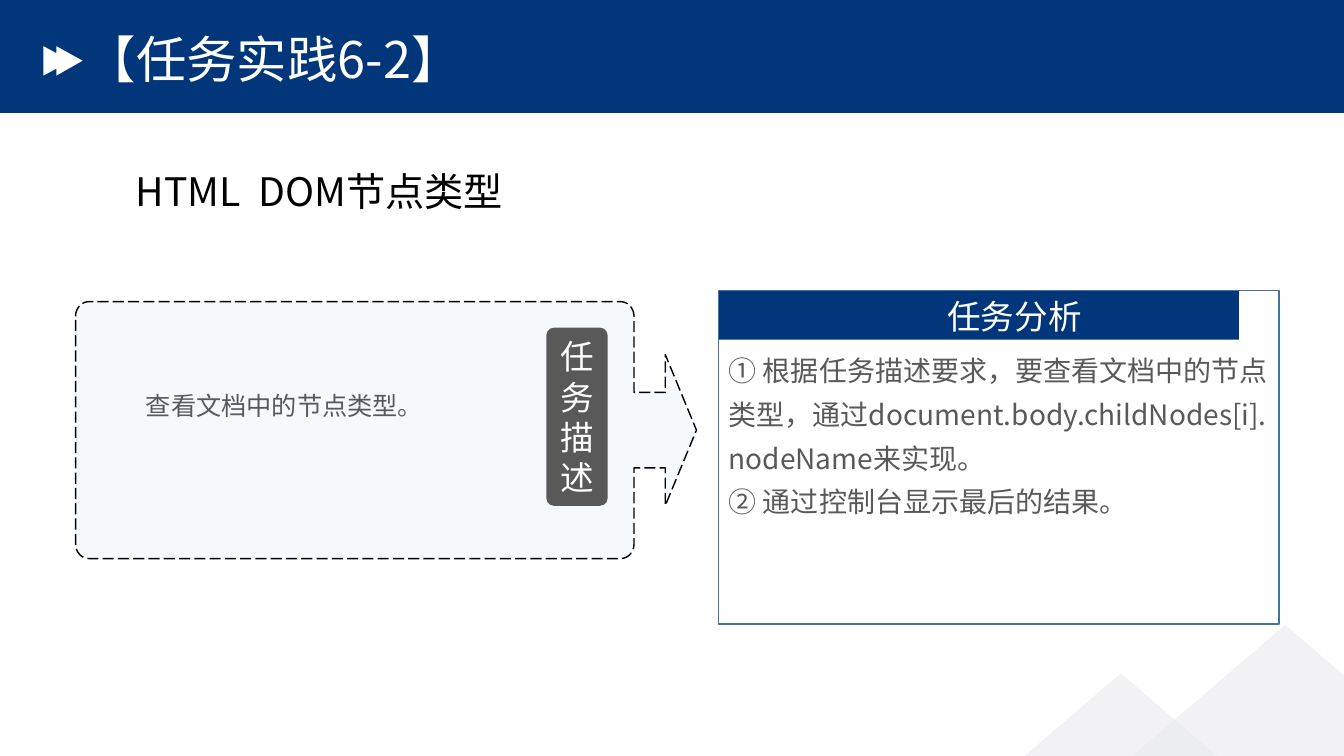
from dataclasses import dataclass
from math import cos, radians, sin

from lxml import etree
from pptx import Presentation
from pptx import util as u
from pptx.dml.color import RGBColor
from pptx.enum import dml, shapes, text
from pptx.oxml.ns import qn


@dataclass(frozen=True)
class Theme:
    navy: str = "01367A"
    white: str = "FFFFFF"
    black: str = "000000"
    gray: str = "595959"
    frame: str = "43739E"
    sky: str = "BDD7EE"
    mist: str = "E9EAEF"
    font: str = "Noto Sans CJK SC"
    label_font: str = "Calibri"
    title: int = 36
    subtitle: int = 28
    heading: int = 24
    analysis: int = 20
    body: int = 18


THEME = Theme()


def write(frame, paragraphs, size, color, font=THEME.font, align=text.PP_ALIGN.LEFT,
          anchor=text.MSO_ANCHOR.TOP, spacing=1.0, before=0):
    frame.word_wrap = True
    frame.auto_size = text.MSO_AUTO_SIZE.NONE
    frame.vertical_anchor = anchor
    for index, words in enumerate(paragraphs):
        para = frame.add_paragraph() if index else frame.paragraphs[0]
        para.alignment = align
        para.line_spacing = spacing
        para.space_before = u.Pt(before)
        span = para.add_run()
        span.text = words
        span.font.size = u.Pt(size)
        span.font.name = font
        span.font.color.rgb = RGBColor.from_string(color)
        latin = span.font._element.find(qn("a:latin"))
        east = etree.Element(qn("a:ea"), typeface=font)
        latin.addnext(east)


class SlideBuilder:
    def __init__(self, page, theme):
        self.page = page
        self.theme = theme

    def style(self, item, fill=None, opacity=100, line=None, dash=None):
        item.shadow.inherit = False
        if fill:
            item.fill.solid()
            item.fill.fore_color.rgb = RGBColor.from_string(fill)
            if opacity < 100:
                color = item.fill._xPr.find(qn("a:solidFill"))[0]
                etree.SubElement(color, qn("a:alpha"), val=str(opacity * 1000))
        else:
            item.fill.background()
        if line:
            item.line.color.rgb = RGBColor.from_string(line)
            item.line.width = u.Pt(1)
            item.line.dash_style = dash
        else:
            item.line.fill.background()
        return item

    def shape(self, kind, left, top, width, height, **look):
        item = self.page.shapes.add_shape(
            kind, u.Pt(left), u.Pt(top), u.Pt(width), u.Pt(height))
        return self.style(item, **look)

    def outline(self, points, **look):
        corners = [(u.Pt(x), u.Pt(y)) for x, y in points]
        builder = self.page.shapes.build_freeform(*corners[0])
        builder.add_line_segments(corners[1:], close=True)
        return self.style(builder.convert_to_shape(), **look)

    def textbox(self, paragraphs, left, top, width, height, **format):
        box = self.page.shapes.add_textbox(
            u.Pt(left), u.Pt(top), u.Pt(width), u.Pt(height))
        write(box.text_frame, paragraphs, **format)

    def title(self, words, left, top, width, height):
        box = self.page.shapes.title
        box.left, box.top = u.Pt(left), u.Pt(top)
        box.width, box.height = u.Pt(width), u.Pt(height)
        write(box.text_frame, [words], self.theme.title, self.theme.white,
              anchor=text.MSO_ANCHOR.MIDDLE, spacing=0.9)
        box._element.getparent().append(box._element)


def arc(x, y, start, radius_x=9.5, radius_y=10.5):
    angles = [radians(start + step) for step in range(0, 91, 10)]
    return [(x + radius_x * cos(a), y + radius_y * sin(a)) for a in angles]


def callout_points(left=54, right=452.9, tip=497.5, middle=307.25, half=91.75):
    inner_left, inner_right = left + 9.5, right - 9.5
    upper, lower = middle - half + 10.5, middle + half - 10.5
    neck = 475.2
    arrow = [(right, middle - 27), (neck, middle - 27), (neck, middle - 54),
             (tip, middle), (neck, middle + 54), (neck, middle + 27),
             (right, middle + 27)]
    return (arc(inner_left, upper, 180) + arc(inner_right, upper, 270) + arrow
            + arc(inner_right, lower, 0) + arc(inner_left, lower, 90))


def main():
    deck = Presentation()
    deck.slide_width, deck.slide_height = u.Pt(960), u.Pt(540)
    page = deck.slides.add_slide(deck.slide_layouts[5])
    slide = SlideBuilder(page, THEME)
    kind = shapes.MSO_SHAPE
    center = text.PP_ALIGN.CENTER

    slide.shape(kind.RECTANGLE, 0, 0, 960, 80.6, fill=THEME.navy)
    slide.outline([(31, 33), (40.3, 38), (40.3, 33), (59, 43.4),
                   (40.3, 54), (40.3, 49), (31, 54)], fill=THEME.white)
    for left, top in [(642.2, 481), (759.6, 446.4)]:
        slide.shape(kind.ISOSCELES_TRIANGLE, left, top, 316.8, 136,
                    fill=THEME.mist, opacity=59)
    slide.title("【任务实践6-2】", 54, 24.5, 473.8, 40.3)
    slide.textbox(["HTML  DOM节点类型"], 90, 105.8, 532.8, 50.4,
                  size=THEME.subtitle, color=THEME.black, spacing=1.3, before=10)

    slide.outline(callout_points(), fill=THEME.sky, opacity=15,
                  line=THEME.black, dash=dml.MSO_LINE.LONG_DASH)
    slide.textbox(["查看文档中的节点类型。"], 97.2, 268.6, 316.8, 33.1,
                  size=THEME.body, color=THEME.gray, spacing=1.3)
    label = slide.shape(kind.ROUNDED_RECTANGLE, 390.2, 234, 43.9, 127.4,
                        fill=THEME.gray)
    label.adjustments[0] = 0.13
    write(label.text_frame, ["任务描述"], THEME.heading, THEME.white,
          font=THEME.label_font, align=center, anchor=text.MSO_ANCHOR.MIDDLE)

    panel_left, panel_top, panel_width = 513.4, 207.4, 400.3
    slide.shape(kind.RECTANGLE, panel_left, panel_top, 371.5, 35.3, fill=THEME.navy)
    slide.textbox(["任务分析"], panel_left, 208, 422.6, 36,
                  size=THEME.heading, color=THEME.white, align=center)
    slide.textbox(
        ["① 根据任务描述要求，要查看文档中的节点类型，通过"
         "document.body.childNodes[i]. nodeName来实现。",
         "② 通过控制台显示最后的结果。"],
        panel_left, 242, panel_width, 162,
        size=THEME.analysis, color=THEME.gray, spacing=1.3)
    slide.shape(kind.RECTANGLE, panel_left, panel_top, panel_width, 238.3,
                line=THEME.frame)

    deck.save("out.pptx")


if __name__ == "__main__":
    main()
